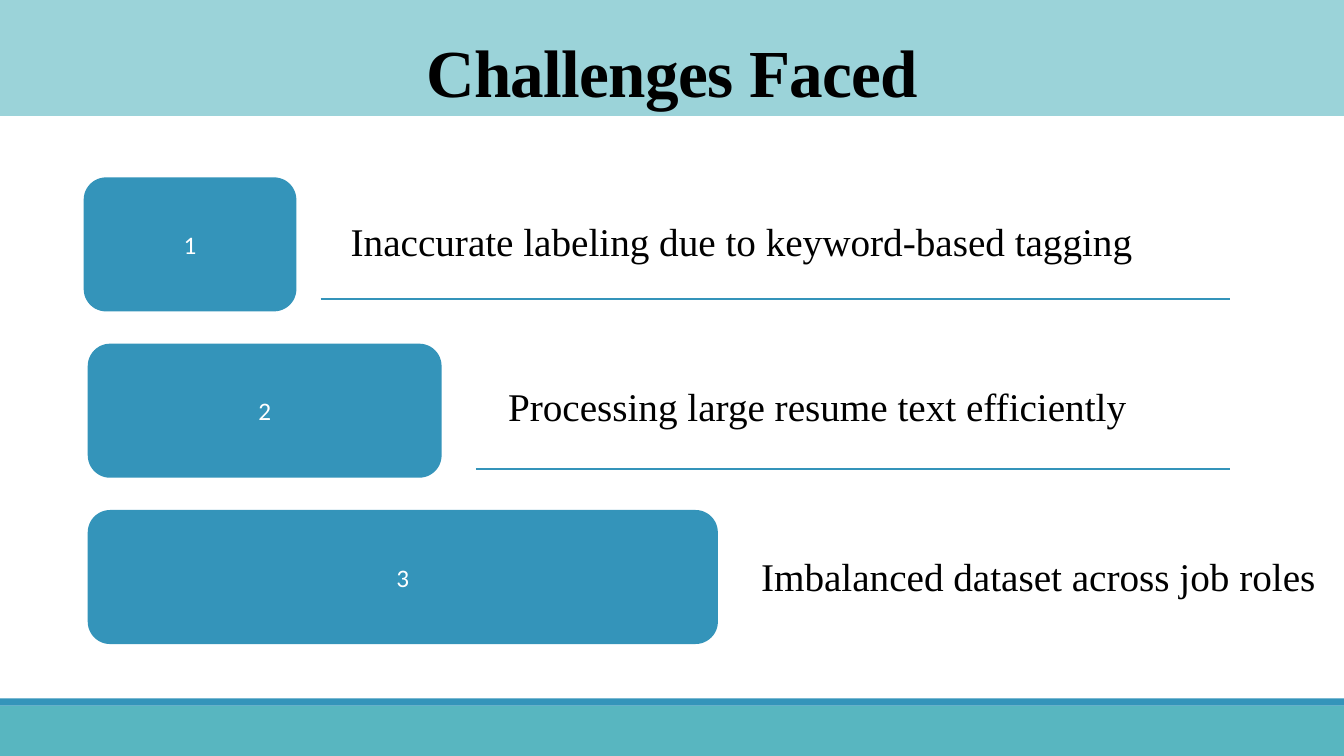
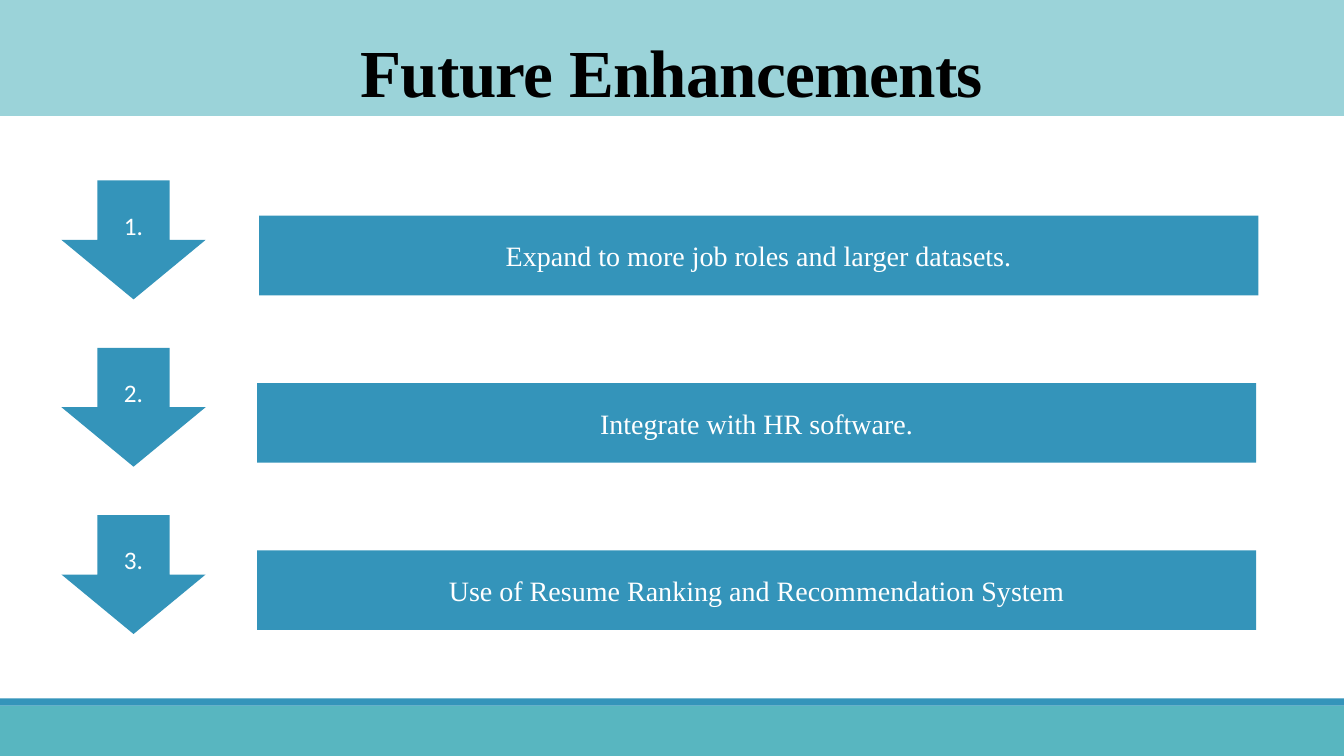
from lxml import etree
from pptx import Presentation
from pptx.dml.color import RGBColor
from pptx.enum.shapes import MSO_CONNECTOR as Connector, MSO_SHAPE as Preset
from pptx.enum.text import MSO_ANCHOR as Anchor, MSO_AUTO_SIZE as AutoSize, PP_ALIGN as Align
from pptx.oxml.ns import qn
from pptx.util import Inches, Pt

BLUE = RGBColor(0x34, 0x94, 0xBA)
TEAL = RGBColor(0x58, 0xB6, 0xC0)
PALE_TEAL = RGBColor(0x9B, 0xD3, 0xD9)
BLACK = RGBColor(0, 0, 0)
WHITE = RGBColor(0xFF, 0xFF, 0xFF)
SERIF, SANS = "Times New Roman", "Calibri"
SLIDE_WIDTH, SLIDE_HEIGHT = 13.33, 7.5

# Each challenge: text, block left and width, text left and top
CHALLENGES = [
    ("Inaccurate labeling due to keyword-based tagging", 0.83, 2.11, 3.38, 2.11),
    ("Processing large resume text efficiently", 0.87, 3.51, 4.94, 3.74),
    ("Imbalanced dataset across job roles", 0.87, 6.25, 7.45, 5.43),
]
DIVIDERS = [(3.18, 2.97), (4.72, 4.65)]  # left end and height on the slide
DIVIDER_RIGHT = 12.2
BLOCK_TOP, BLOCK_STEP, BLOCK_HEIGHT = 1.76, 1.65, 1.33

# Each enhancement: text, bar left
ENHANCEMENTS = [
    ("Expand to more job roles and larger datasets.", 2.57),
    ("Integrate with HR software.", 2.55),
    ("Use of Resume Ranking and Recommendation System", 2.55),
]
ARROW_TOP, BAR_TOP, ENHANCEMENT_STEP = 1.79, 2.14, 1.66


def write(shape, text, font_name, size, color, align=Align.CENTER, anchor=Anchor.MIDDLE):
    frame = shape.text_frame
    frame.word_wrap = True
    frame.vertical_anchor = anchor
    paragraph = frame.paragraphs[0]
    paragraph.alignment = align
    run = paragraph.add_run()
    run.text = text
    run.font.name = font_name
    run.font.size = Pt(size)
    run.font.color.rgb = color
    return paragraph, run


def add_filled(slide, preset, left, top, width, height, color=BLUE):
    shape = slide.shapes.add_shape(
        preset, Inches(left), Inches(top), Inches(width), Inches(height))
    shape.shadow.inherit = False
    shape.fill.solid()
    shape.fill.fore_color.rgb = color
    shape.line.fill.background()
    return shape


def add_divider(slide, left, top):
    line = slide.shapes.add_connector(
        Connector.STRAIGHT, Inches(left), Inches(top), Inches(DIVIDER_RIGHT), Inches(top))
    line.line.color.rgb = BLUE
    line.line.width = Pt(1.25)
    etree.SubElement(line._element.spPr, qn("a:effectLst"))


def add_titled_slide(presentation, text):
    """Add a slide with the shared title band and footer bands."""
    slide = presentation.slides.add_slide(presentation.slide_layouts[5])
    title = slide.shapes.title
    title.left, title.top = Inches(0), Inches(0)
    title.width, title.height = Inches(SLIDE_WIDTH), Inches(1.15)
    title.fill.solid()
    title.fill.fore_color.rgb = PALE_TEAL
    title.text_frame.auto_size = AutoSize.NONE
    paragraph, run = write(title, text, SERIF, 48, BLACK, anchor=Anchor.BOTTOM)
    paragraph.line_spacing = 0.85
    run.font.bold = True
    run._r.get_or_add_rPr().set("spc", "-50")
    add_filled(slide, Preset.RECTANGLE, 0, 7, SLIDE_WIDTH, 0.5, TEAL)
    add_filled(slide, Preset.RECTANGLE, 0, 6.93, SLIDE_WIDTH, 0.07)
    return slide


def build_challenges(presentation):
    slide = add_titled_slide(presentation, "Challenges Faced")
    for index, (text, left, width, text_left, text_top) in enumerate(CHALLENGES):
        block = add_filled(slide, Preset.ROUNDED_RECTANGLE, left,
                           BLOCK_TOP + index * BLOCK_STEP, width, BLOCK_HEIGHT)
        write(block, str(index + 1), SANS, 18, WHITE)
        label = slide.shapes.add_textbox(
            Inches(text_left), Inches(text_top),
            Inches(SLIDE_WIDTH - text_left), Inches(0.57))
        write(label, text, SERIF, 28, BLACK, Align.LEFT, Anchor.TOP)
    for left, top in DIVIDERS:
        add_divider(slide, left, top)


def build_enhancements(presentation):
    slide = add_titled_slide(presentation, "Future Enhancements")
    for index, (text, bar_left) in enumerate(ENHANCEMENTS):
        offset = index * ENHANCEMENT_STEP
        arrow = add_filled(slide, Preset.DOWN_ARROW, 0.61, ARROW_TOP + offset, 1.43, 1.18)
        write(arrow, f"{index + 1}.", SANS, 18, WHITE)
        bar = add_filled(slide, Preset.RECTANGLE, bar_left, BAR_TOP + offset, 9.91, 0.79)
        write(bar, text, SERIF, 20, WHITE)


def main():
    presentation = Presentation()
    presentation.slide_width = Inches(SLIDE_WIDTH)
    presentation.slide_height = Inches(SLIDE_HEIGHT)
    build_challenges(presentation)
    build_enhancements(presentation)
    presentation.save("out.pptx")


if __name__ == "__main__":
    main()
